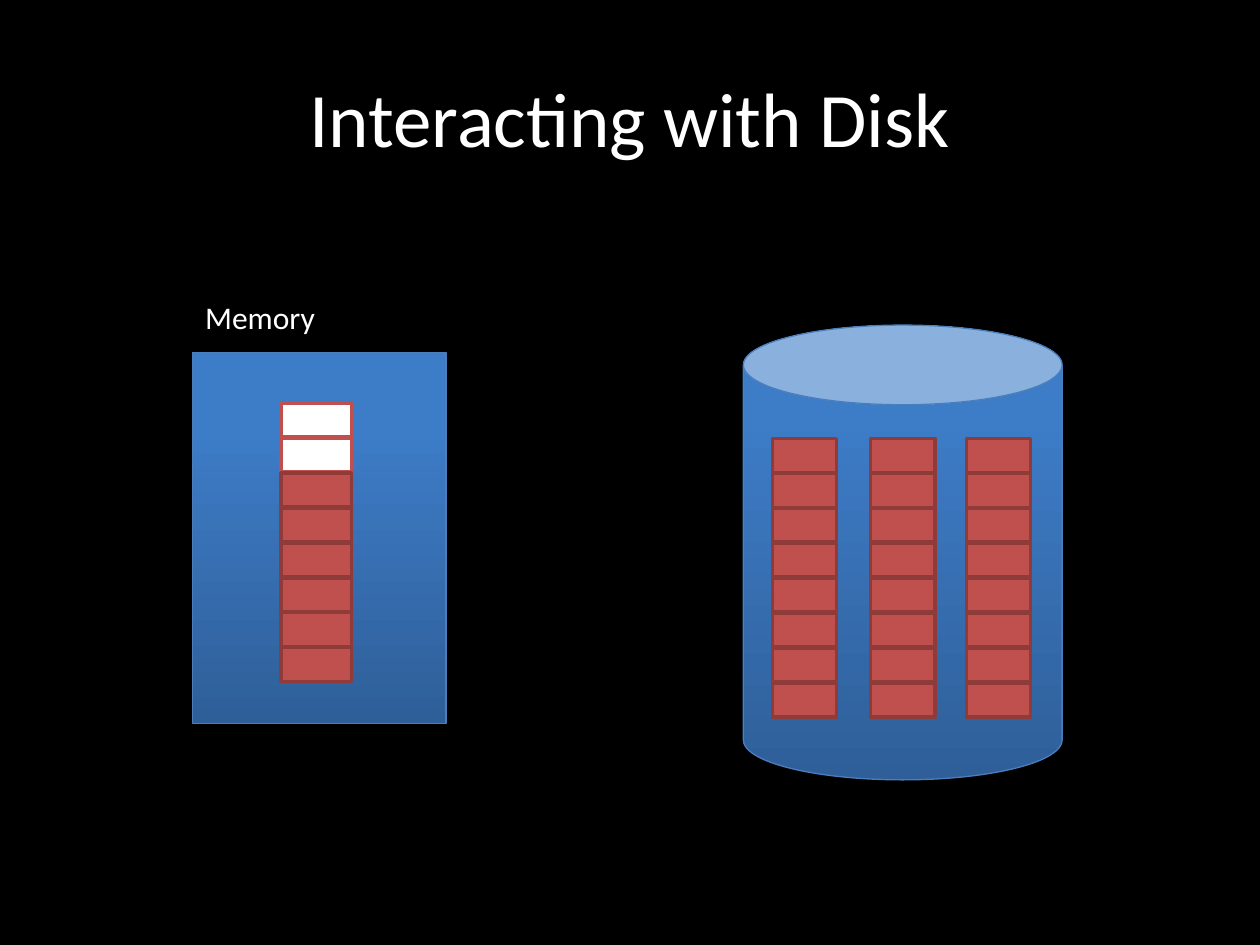
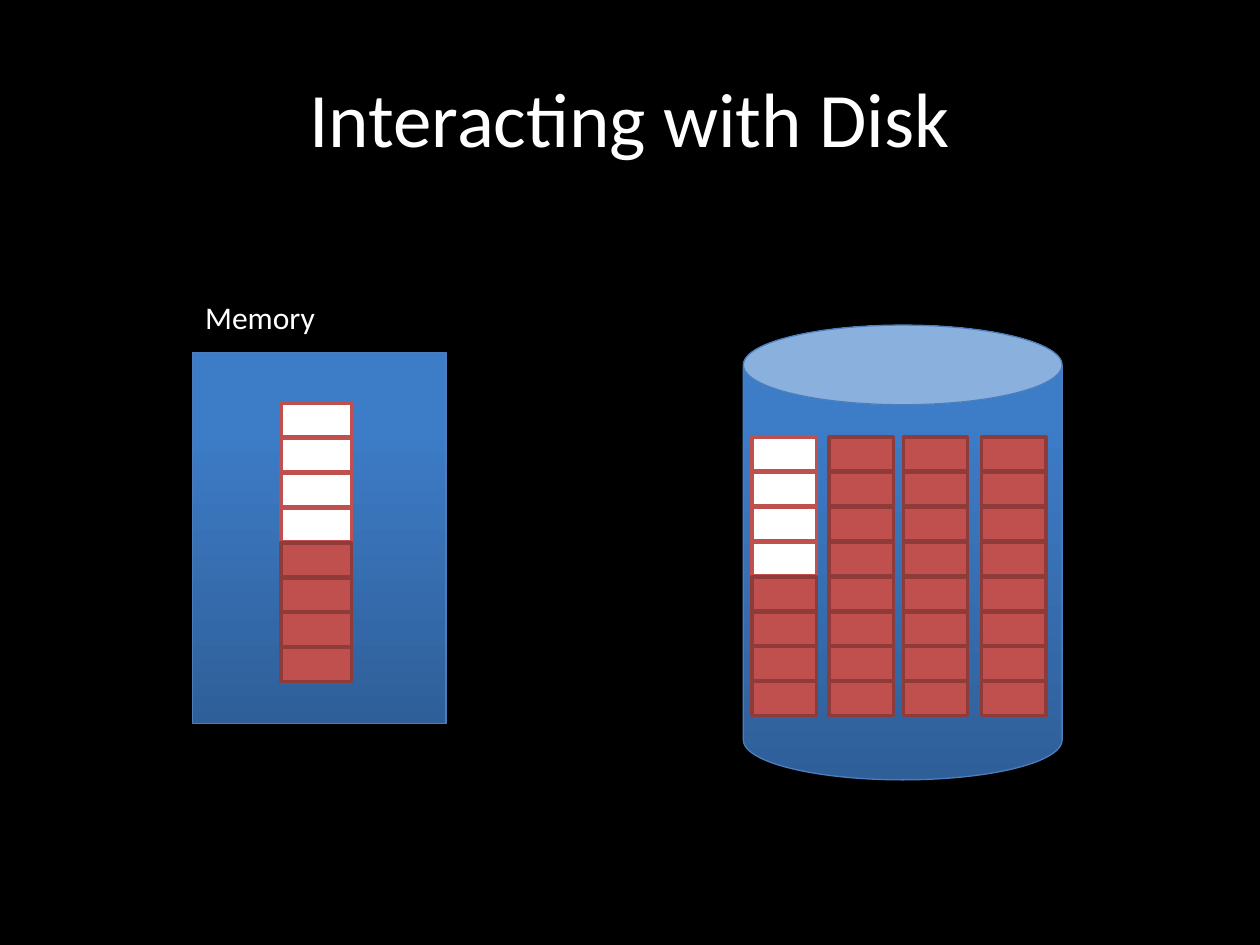
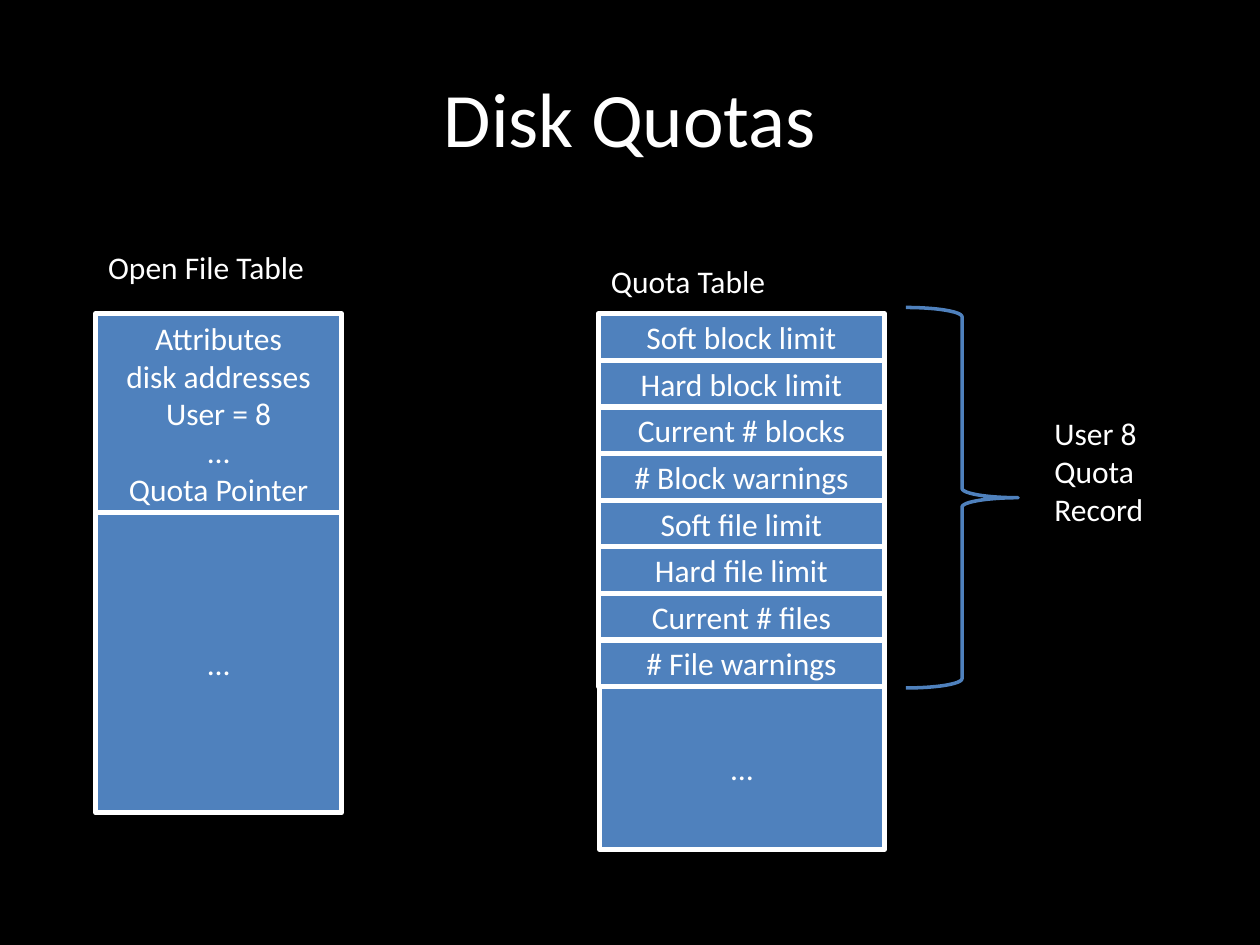
"""Build three slides on memory, disk blocks and disk quotas."""
from pptx import Presentation
from pptx.dml.color import RGBColor
from pptx.enum.shapes import MSO_SHAPE
from pptx.enum.text import MSO_ANCHOR, MSO_AUTO_SIZE, PP_ALIGN
from pptx.util import Inches, Pt

COLORS = {
    "background": "000000",
    "text": "FFFFFF",
    "box": "4F81BD",
    "panel_dark": "2F5F99",
    "panel_light": "3D7CC7",
    "panel_line": "4B7EBC",
    "free": "FFFFFF",
    "used": "C0504D",
    "used_line": "8E3B39",
}
FONT = "Calibri"
BLOCK_COUNT = 8
BLOCK_HEIGHT = 0.27
BLOCK_PITCH = 1.94 / (BLOCK_COUNT - 1)
QUOTA_FIELDS = [
    "Soft block limit", "Hard block limit", "Current # blocks", "# Block warnings",
    "Soft file limit", "Hard file limit", "Current # files", "# File warnings",
]


class Deck:
    """Hold the shared style and the current slide."""

    def __init__(self):
        self.presentation = Presentation()
        self.presentation.slide_width = Inches(10)
        self.presentation.slide_height = Inches(7.5)
        self.slide = None

    def color(self, name):
        return RGBColor.from_string(COLORS[name])

    def add_slide(self, title):
        self.slide = self.presentation.slides.add_slide(self.presentation.slide_layouts[5])
        background = self.slide.background.fill
        background.solid()
        background.fore_color.rgb = self.color("background")
        placeholder = self.slide.shapes.title
        placeholder.left, placeholder.top = Inches(0.5), Inches(0.3)
        placeholder.width, placeholder.height = Inches(9), Inches(1.25)
        self.set_text(placeholder, [title], size=44)

    def set_text(self, shape, lines, size=18, align=PP_ALIGN.CENTER, anchor=MSO_ANCHOR.MIDDLE):
        frame = shape.text_frame
        frame.word_wrap = True
        frame.vertical_anchor = anchor
        frame.text = "\n".join(lines)
        for paragraph in frame.paragraphs:
            paragraph.alignment = align
            paragraph.font.name = FONT
            paragraph.font.size = Pt(size)
            paragraph.font.color.rgb = self.color("text")

    def label(self, left, top, width, height, *lines):
        box = self.slide.shapes.add_textbox(
            Inches(left), Inches(top), Inches(width), Inches(height))
        self.set_text(box, lines, align=PP_ALIGN.LEFT, anchor=MSO_ANCHOR.TOP)
        box.text_frame.auto_size = MSO_AUTO_SIZE.SHAPE_TO_FIT_TEXT

    def shape(self, kind, left, top, width, height, line, line_width, fill=None):
        shape = self.slide.shapes.add_shape(
            kind, Inches(left), Inches(top), Inches(width), Inches(height))
        shape.shadow.inherit = False
        shape.line.color.rgb = self.color(line)
        shape.line.width = Pt(line_width)
        if fill:
            shape.fill.solid()
            shape.fill.fore_color.rgb = self.color(fill)
        else:
            shape.fill.background()
        return shape

    def panel(self, kind, left, top, width, height):
        panel = self.shape(kind, left, top, width, height, "panel_line", 0.75)
        panel.fill.gradient()
        panel.fill.gradient_angle = 90
        dark, light = panel.fill.gradient_stops
        dark.position, light.position = 0, 0.8
        dark.color.rgb = self.color("panel_dark")
        light.color.rgb = self.color("panel_light")

    def block_column(self, left, top, width, free=0):
        for index in range(BLOCK_COUNT):
            fill, line = ("free", "used") if index < free else ("used", "used_line")
            self.shape(MSO_SHAPE.RECTANGLE, left, top + index * BLOCK_PITCH,
                       width, BLOCK_HEIGHT, line, 2, fill)

    def text_box(self, left, top, width, height, *lines):
        box = self.shape(MSO_SHAPE.RECTANGLE, left, top, width, height, "text", 3, "box")
        self.set_text(box, lines)

    def disk_slide(self, memory_free, disk_top, disk_columns):
        self.add_slide("Interacting with Disk")
        self.panel(MSO_SHAPE.RECTANGLE, 1.53, 2.8, 2.01, 2.94)
        self.panel(MSO_SHAPE.CAN, 5.9, 2.58, 2.53, 3.61)
        self.block_column(2.23, 3.2, 0.56, memory_free)
        for left, free in disk_columns:
            self.block_column(left, disk_top, 0.51, free)
        self.label(1.53, 2.32, 1.58, 0.4, "Memory")

    def quota_slide(self):
        self.add_slide("Disk Quotas")
        self.text_box(0.76, 2.49, 1.95, 1.58, "Attributes", "disk addresses",
                      "User = 8", "…", "Quota Pointer")
        self.text_box(0.76, 4.07, 1.95, 2.38, "…")
        for index, field in enumerate(QUOTA_FIELDS):
            self.text_box(4.75, 2.49 + index * 0.37, 2.27, 0.37, field)
        self.text_box(4.76, 5.45, 2.26, 1.29, "…")
        self.label(0.76, 1.92, 1.95, 0.4, "Open File Table")
        self.label(4.75, 2.03, 2.19, 0.4, "Quota Table")
        self.shape(MSO_SHAPE.RIGHT_BRACE, 7.19, 2.44, 0.89, 3.02, "box", 2)
        self.label(8.27, 3.24, 1.56, 1.01, "User 8", "Quota Record")


def main():
    deck = Deck()
    deck.disk_slide(2, 3.48, [(6.13, 0), (6.91, 0), (7.67, 0)])
    deck.disk_slide(4, 3.47, [(5.97, 4), (6.58, 0), (7.17, 0), (7.79, 0)])
    deck.quota_slide()
    deck.presentation.save("out.pptx")


if __name__ == "__main__":
    main()
